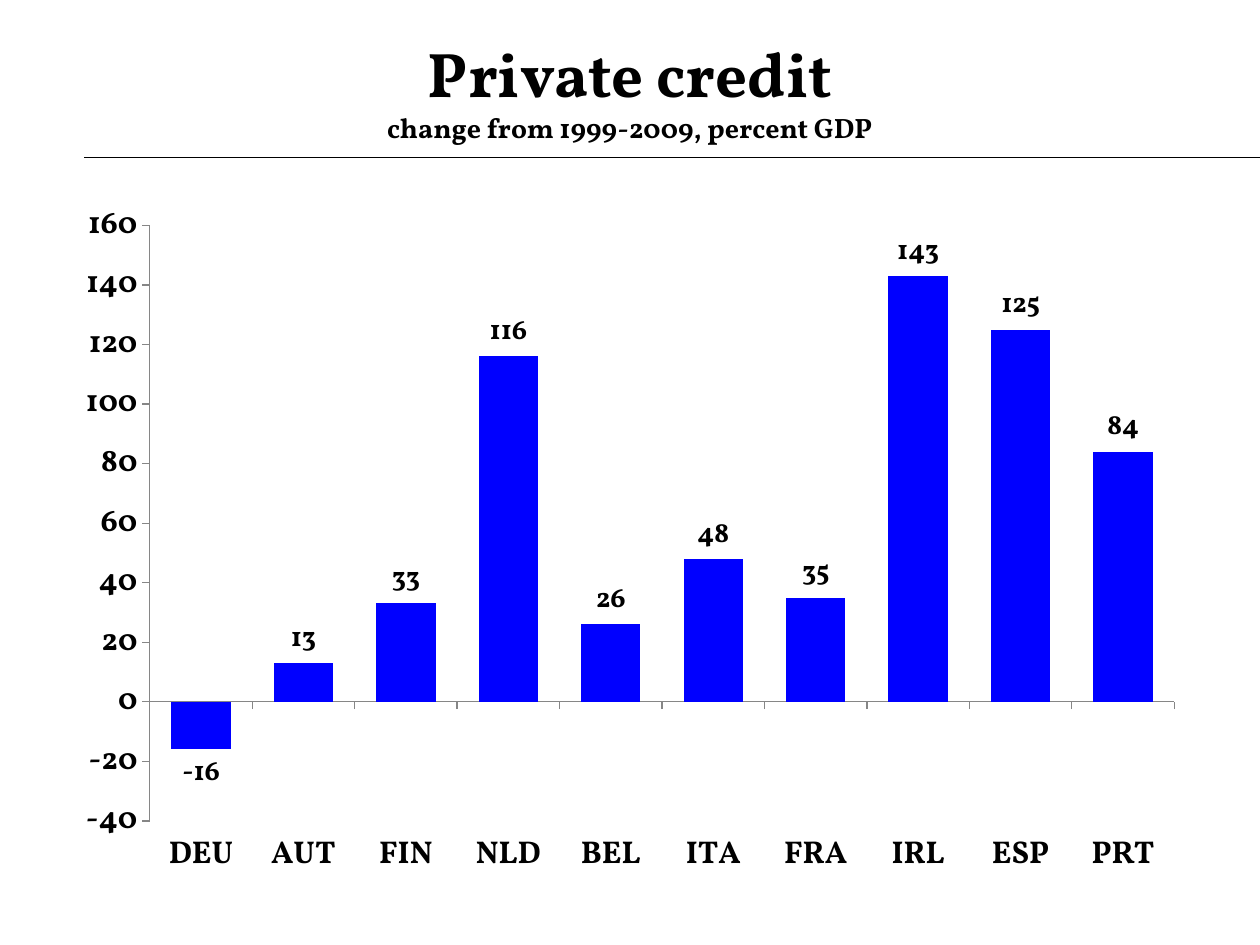
from typing import NamedTuple

from pptx import Presentation
from pptx.chart.data import CategoryChartData
from pptx.dml.color import RGBColor
from pptx.enum.chart import (XL_CHART_TYPE, XL_LABEL_POSITION,
                             XL_TICK_LABEL_POSITION, XL_TICK_MARK)
from pptx.enum.shapes import MSO_CONNECTOR
from pptx.enum.text import MSO_ANCHOR, MSO_AUTO_SIZE, PP_ALIGN
from pptx.oxml.ns import qn
from pptx.util import Inches, Pt

FONT = "Vollkorn"
COLORS = {"text": "000000", "rule": "000000", "bar": "0000FF", "axis": "868686"}


class Country(NamedTuple):
    code: str
    change: int


COUNTRIES = [
    Country("DEU", -16), Country("AUT", 13), Country("FIN", 33),
    Country("NLD", 116), Country("BEL", 26), Country("ITA", 48),
    Country("FRA", 35), Country("IRL", 143), Country("ESP", 125),
    Country("PRT", 84),
]


def rgb(name: str) -> RGBColor:
    return RGBColor.from_string(COLORS[name])


def format_font(font, size: float, bold: bool = True, color: str = "text") -> None:
    font.name = FONT
    font.size = Pt(size)
    font.bold = bold
    font.color.rgb = rgb(color)


def add_text(p, text: str, **style) -> None:
    r = p.add_run()
    r.text = text
    format_font(r.font, **style)


def set_title(s) -> None:
    title = s.shapes.title
    title.left, title.top = Inches(0.5), Inches(0.25)
    title.width, title.height = Inches(9), Inches(0.92)
    tf = title.text_frame
    tf.word_wrap = True
    tf.auto_size = MSO_AUTO_SIZE.NONE
    tf.vertical_anchor = MSO_ANCHOR.MIDDLE
    p = tf.paragraphs[0]
    p.alignment = PP_ALIGN.CENTER
    add_text(p, "Private credit", size=36)
    p.add_line_break()
    add_text(p, "change from 1999-2009, percent GDP", size=16)


def add_rule(s) -> None:
    line = s.shapes.add_connector(MSO_CONNECTOR.STRAIGHT, Inches(0.67),
                                  Inches(1.25), Inches(10), Inches(1.25))
    line.line.color.rgb = rgb("rule")
    line.line.width = Pt(0.75)
    sp_pr = line._element.spPr
    sp_pr.append(sp_pr.makeelement(qn("a:effectLst"), {}))


def format_axis(axis) -> None:
    axis.has_major_gridlines = False
    axis.major_tick_mark = XL_TICK_MARK.OUTSIDE
    axis.minor_tick_mark = XL_TICK_MARK.NONE
    axis.format.line.color.rgb = rgb("axis")
    axis.format.line.width = Pt(0.75)
    format_font(axis.tick_labels.font, size=18)


def add_credit_chart(s) -> None:
    data = CategoryChartData(number_format="General")
    data.categories = [c.code for c in COUNTRIES]
    data.add_series("Series 1", [c.change for c in COUNTRIES])
    chart = s.shapes.add_chart(XL_CHART_TYPE.COLUMN_CLUSTERED, Inches(0.5),
                               Inches(1.5), Inches(9), Inches(5.58), data).chart
    format_font(chart.font, size=18, bold=False)
    chart.has_legend = False
    chart.has_title = False

    for axis in (chart.category_axis, chart.value_axis):
        format_axis(axis)
    chart.category_axis.tick_label_position = XL_TICK_LABEL_POSITION.LOW
    chart.value_axis.minimum_scale = -40
    chart.value_axis.maximum_scale = 160
    chart.value_axis.major_unit = 20

    plot = chart.plots[0]
    plot.gap_width = 73
    plot.vary_by_categories = False
    series = plot.series[0]
    series.invert_if_negative = False
    series.format.fill.solid()
    series.format.fill.fore_color.rgb = rgb("bar")
    labels = series.data_labels
    labels.show_value = True
    labels.position = XL_LABEL_POSITION.OUTSIDE_END
    format_font(labels.font, size=16)


def main() -> None:
    prs = Presentation()
    prs.slide_width, prs.slide_height = Inches(10), Inches(7.5)
    s = prs.slides.add_slide(prs.slide_layouts[5])
    add_rule(s)
    set_title(s)
    add_credit_chart(s)
    prs.save("out.pptx")


if __name__ == "__main__":
    main()
